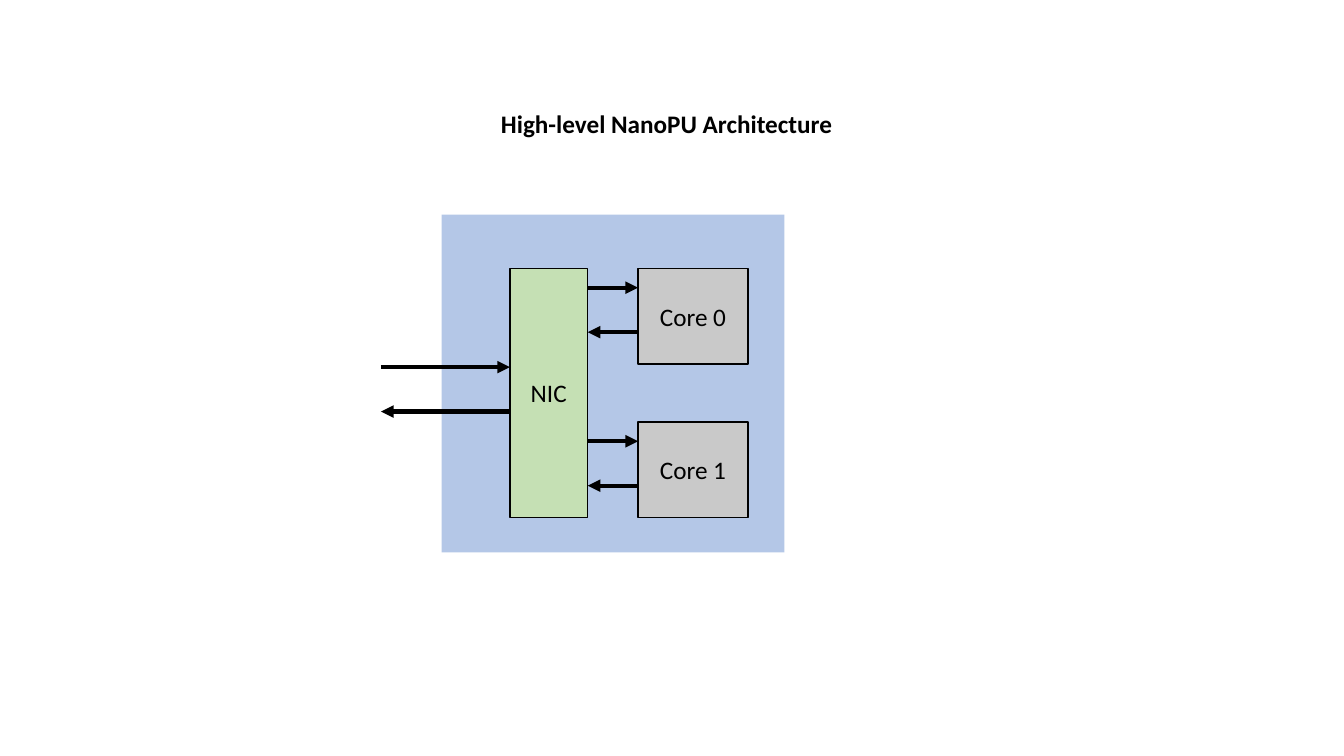
"""Draw the block diagram of a two-core NanoPU and its NIC."""
from lxml import etree
from pptx import Presentation
from pptx.dml.color import RGBColor
from pptx.enum.shapes import MSO_CONNECTOR, MSO_SHAPE
from pptx.enum.text import MSO_ANCHOR, MSO_AUTO_SIZE, PP_ALIGN
from pptx.oxml.ns import qn
from pptx.util import Cm, Pt

RECT = MSO_SHAPE.RECTANGLE
LINE = MSO_CONNECTOR.STRAIGHT
MIDDLE = MSO_ANCHOR.MIDDLE
CENTER = PP_ALIGN.CENTER
FIXED = MSO_AUTO_SIZE.NONE


def color(code):
    return RGBColor.from_string(code)


class Board:
    font, size, ink = "Calibri", 18, "000000"

    def __init__(self, slide):
        self.slide = slide

    def label(self, shape, text, bold=False):
        frame = shape.text_frame
        frame.text = text
        frame.vertical_anchor = MIDDLE
        para = frame.paragraphs[0]
        para.alignment = CENTER
        for run in para.runs:
            run.font.name = self.font
            run.font.size = Pt(self.size)
            run.font.bold = bold
            run.font.color.rgb = color(self.ink)

    def title(self, text, left, top, width, height):
        shape = self.slide.shapes.title
        shape.left, shape.top = Cm(left), Cm(top)
        shape.width, shape.height = Cm(width), Cm(height)
        self.label(shape, text, bold=True)
        shape.text_frame.word_wrap = False
        shape.text_frame.auto_size = FIXED

    def box(self, left, top, width, height, fill, text=None):
        shape = self.slide.shapes.add_shape(
            RECT, Cm(left), Cm(top), Cm(width), Cm(height))
        shape.shadow.inherit = False
        shape.fill.solid()
        shape.fill.fore_color.rgb = color(fill)
        if text is None:
            shape.line.fill.background()
            return
        shape.line.color.rgb = color(self.ink)
        shape.line.width = Pt(1)
        self.label(shape, text)

    def arrow(self, start, end, top):
        link = self.slide.shapes.add_connector(
            LINE, Cm(start), Cm(top), Cm(end), Cm(top))
        link.line.color.rgb = color(self.ink)
        link.line.width = Pt(3)
        props = link._element.spPr
        head = etree.SubElement(props.find(qn("a:ln")), qn("a:tailEnd"))
        head.set("type", "triangle")
        etree.SubElement(props, qn("a:effectLst"))

    def pair(self, left, right, top, gap=1.12):
        self.arrow(left, right, top)
        self.arrow(right, left, top + gap)


deck = Presentation()
deck.slide_width, deck.slide_height = Cm(33.87), Cm(19.05)
board = Board(deck.slides.add_slide(deck.slide_layouts[5]))

board.title("High-level NanoPU Architecture", 12.34, 2.6, 8.92, 1.02)
board.box(11.13, 5.41, 8.64, 8.51, "B4C7E7")

nic_left, nic_width, top = 12.85, 1.96, 6.76
nic_right = nic_left + nic_width
core_left, core_height, step = 16.08, 2.41, 3.87
board.box(nic_left, top, nic_width, step + core_height, "C5E0B4", "NIC")
board.pair(9.6, nic_left, 9.25)

for index in range(2):
    core_top = top + index * step
    board.box(core_left, core_top, 2.77, core_height, "C9C9C9", f"Core {index}")
    board.pair(nic_right, core_left, core_top + 0.49)

deck.save("out.pptx")
